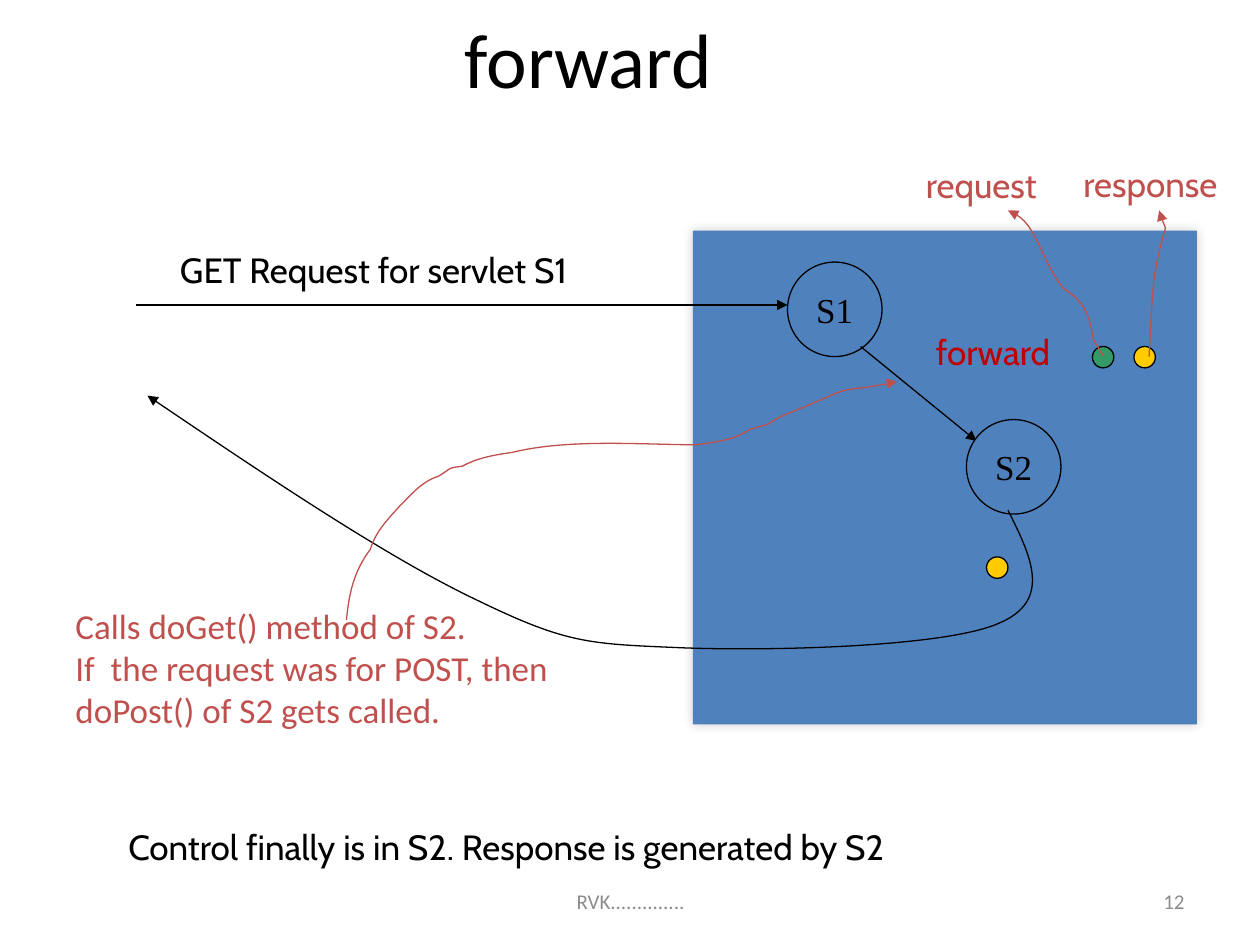
from dataclasses import dataclass

from lxml.etree import SubElement
from pptx import Presentation
from pptx.dml.color import RGBColor as Rgb
from pptx.enum.shapes import MSO_CONNECTOR as Connector, MSO_SHAPE as Shape
from pptx.enum.text import MSO_ANCHOR as Anchor, MSO_AUTO_SIZE as AutoSize, PP_ALIGN as Align
from pptx.oxml.ns import qn
from pptx.util import Inches, Pt


@dataclass(frozen=True)
class Theme:
    ink: str = "000000"
    container: str = "4F81BD"
    accent: str = "C0504D"
    forward: str = "C00000"
    request: str = "339966"
    response: str = "FFCC00"
    muted: str = "8C8C8C"
    label_font: str = "Cabin"
    body_font: str = "Calibri"
    node_font: str = "Times New Roman"
    title_size: int = 44
    body_size: int = 20
    footer_size: int = 12
    line_width: float = 0.75


THEME = Theme()


def write_text(shape, text, font=THEME.label_font, size=THEME.body_size, color=THEME.ink,
               align=Align.LEFT, anchor=Anchor.TOP, wrap=False, fit=AutoSize.NONE):
    frame = shape.text_frame
    frame.text = text
    frame.word_wrap = wrap
    frame.auto_size = fit
    frame.vertical_anchor = anchor
    for paragraph in frame.paragraphs:
        paragraph.alignment = align
        for run in paragraph.runs:
            run.font.name = font
            run.font.size = Pt(size)
            run.font.color.rgb = Rgb.from_string(color)


class FlowSlide:
    def __init__(self, slide, theme):
        self.slide = slide
        self.shapes = slide.shapes
        self.theme = theme

    def title(self, text, left, top, width, height):
        heading = self.shapes.title
        heading.left, heading.top = Inches(left), Inches(top)
        heading.width, heading.height = Inches(width), Inches(height)
        write_text(heading, text, font=self.theme.body_font, size=self.theme.title_size,
                   align=Align.CENTER, anchor=Anchor.MIDDLE, wrap=True)

    def label(self, text, left, top, width, height=0.44, **style):
        box = self.shapes.add_textbox(Inches(left), Inches(top), Inches(width), Inches(height))
        write_text(box, text, **{"fit": AutoSize.SHAPE_TO_FIT_TEXT, **style})

    def footer(self, text, left, width, align):
        self.label(text, left, 6.95, width, 0.4, font=self.theme.body_font,
                   size=self.theme.footer_size, color=self.theme.muted, align=align,
                   anchor=Anchor.MIDDLE, wrap=True, fit=AutoSize.NONE)

    def container(self, left, top, width, height):
        panel = self._filled(Shape.RECTANGLE, left, top, width, height, self.theme.container)
        panel.line.fill.background()
        effects = panel._element.spPr.find(qn("a:effectLst"))
        shadow = SubElement(effects, qn("a:outerShdw"), blurRad=str(Pt(6)), dist="0",
                            dir=str(225 * 60000), rotWithShape="0")
        tint = SubElement(shadow, qn("a:srgbClr"), val=self.theme.ink)
        SubElement(tint, qn("a:alpha"), val="20000")

    def circle(self, left, top, diameter, fill):
        disc = self._filled(Shape.OVAL, left, top, diameter, diameter, fill)
        self._stroke(disc, self.theme.ink)
        return disc

    def servlet(self, name, left, top):
        write_text(self.circle(left, top, 0.75, self.theme.container), name,
                   font=self.theme.node_font, align=Align.CENTER, anchor=Anchor.MIDDLE)

    def token(self, left, top, fill):
        self.circle(left, top, 0.17, fill)

    def arrow(self, start, end):
        x1, y1, x2, y2 = map(Inches, (*start, *end))
        link = self.shapes.add_connector(Connector.STRAIGHT, x1, y1, x2, y2)
        SubElement(link._element.spPr, qn("a:effectLst"))
        self._stroke(link, self.theme.ink, head=True)

    def curve(self, start, *controls, color):
        builder = self.shapes.build_freeform(Inches(start[0]), Inches(start[1]))
        builder.add_line_segments([(Inches(x), Inches(y)) for x, y in controls], close=False)
        trail = builder.convert_to_shape()
        trail.shadow.inherit = False
        trail.fill.background()
        self._stroke(trail, color, head=True)
        outline = next(trail._element.iter(qn("a:lnTo"))).getparent()
        segments = outline.findall(qn("a:lnTo"))
        for i in range(0, len(segments), 3):
            bezier = SubElement(outline, qn("a:cubicBezTo"))
            for segment in segments[i:i + 3]:
                bezier.append(segment[0])
                outline.remove(segment)

    def _filled(self, kind, left, top, width, height, fill):
        shape = self.shapes.add_shape(kind, Inches(left), Inches(top), Inches(width), Inches(height))
        shape.shadow.inherit = False
        shape.fill.solid()
        shape.fill.fore_color.rgb = Rgb.from_string(fill)
        return shape

    def _stroke(self, shape, color, head=False):
        shape.line.color.rgb = Rgb.from_string(color)
        shape.line.width = Pt(self.theme.line_width)
        if head:
            SubElement(shape.line._get_or_add_ln(), qn("a:tailEnd"), type="triangle")


def main():
    deck = Presentation()
    deck.slide_width, deck.slide_height = Inches(10), Inches(7.5)
    flow = FlowSlide(deck.slides.add_slide(deck.slide_layouts[5]), THEME)

    flow.title("forward", 0.42, -0.17, 8.5, 1.25)
    flow.container(5.5, 1.83, 4, 3.92)
    flow.arrow((1.08, 2.42), (6.25, 2.42))
    flow.label("GET Request for servlet S1", 1.33, 1.92, 3.52)
    flow.servlet("S1", 6.25, 2.08)
    flow.arrow((6.83, 2.75), (7.75, 3.5))
    flow.servlet("S2", 7.67, 3.33)
    flow.label("forward", 7.33, 2.57, 1.15, color=THEME.forward)
    flow.curve((8, 4.05),
               (8.18, 4.41), (8.36, 4.77), (7.92, 4.95),
               (7.48, 5.14), (6.05, 5.17), (5.37, 5.14),
               (4.68, 5.11), (4.5, 5.11), (3.8, 4.77),
               (3.1, 4.44), (2.13, 3.79), (1.17, 3.14), color=THEME.ink)
    flow.label("Control finally is in S2. Response is generated by S2", 0.92, 6.5, 6.62)

    flow.token(8.67, 2.75, THEME.request)
    flow.token(9, 2.75, THEME.response)
    flow.curve((8.76, 2.83),
               (8.73, 2.79), (8.71, 2.74), (8.68, 2.7),
               (8.65, 2.55), (8.64, 2.41), (8.44, 2.29),
               (8.35, 2.18), (8.3, 2.05), (8.24, 1.93),
               (8.19, 1.84), (8.15, 1.73), (8, 1.67), color=THEME.accent)
    flow.label("request", 7.25, 1.25, 1.13, color=THEME.accent)
    flow.curve((9.12, 2.83),
               (9.15, 2.29), (9.14, 2.19), (9.25, 1.81),
               (9.2, 1.68), (9.2, 1.73), (9.2, 1.67), color=THEME.accent)
    flow.label("response", 8.5, 1.24, 1.31, color=THEME.accent)
    flow.token(7.83, 4.42, THEME.response)

    flow.label("Calls doGet() method of S2.\n"
               "If  the request was for POST, then\n"
               "doPost() of S2 gets called.",
               0.5, 4.75, 5.38, 1.11, font=THEME.body_font, color=THEME.accent, wrap=True)
    flow.curve((2.75, 4.92),
               (2.77, 4.71), (2.81, 4.53), (2.94, 4.36),
               (2.98, 4.22), (3.08, 4.12), (3.17, 4.02),
               (3.27, 3.92), (3.35, 3.82), (3.48, 3.78),
               (3.61, 3.7), (3.54, 3.72), (3.67, 3.7),
               (3.8, 3.63), (3.93, 3.61), (4.07, 3.59),
               (4.51, 3.48), (5.11, 3.53), (5.53, 3.53),
               (5.66, 3.51), (5.78, 3.5), (5.9, 3.44),
               (5.92, 3.43), (5.94, 3.41), (5.95, 3.41),
               (6, 3.39), (6.09, 3.37), (6.09, 3.37),
               (6.15, 3.33), (6.22, 3.29), (6.29, 3.27),
               (6.35, 3.24), (6.39, 3.23), (6.45, 3.2),
               (6.54, 3.17), (6.65, 3.1), (6.75, 3.09),
               (6.8, 3.08), (6.85, 3.08), (6.9, 3.07),
               (7.15, 3.03), (7.03, 3.03), (7.12, 3.03), color=THEME.accent)

    flow.footer("12", 7.17, 2.33, Align.RIGHT)
    flow.footer("RVK..............", 3.42, 3.17, Align.CENTER)
    deck.save("out.pptx")


if __name__ == "__main__":
    main()
